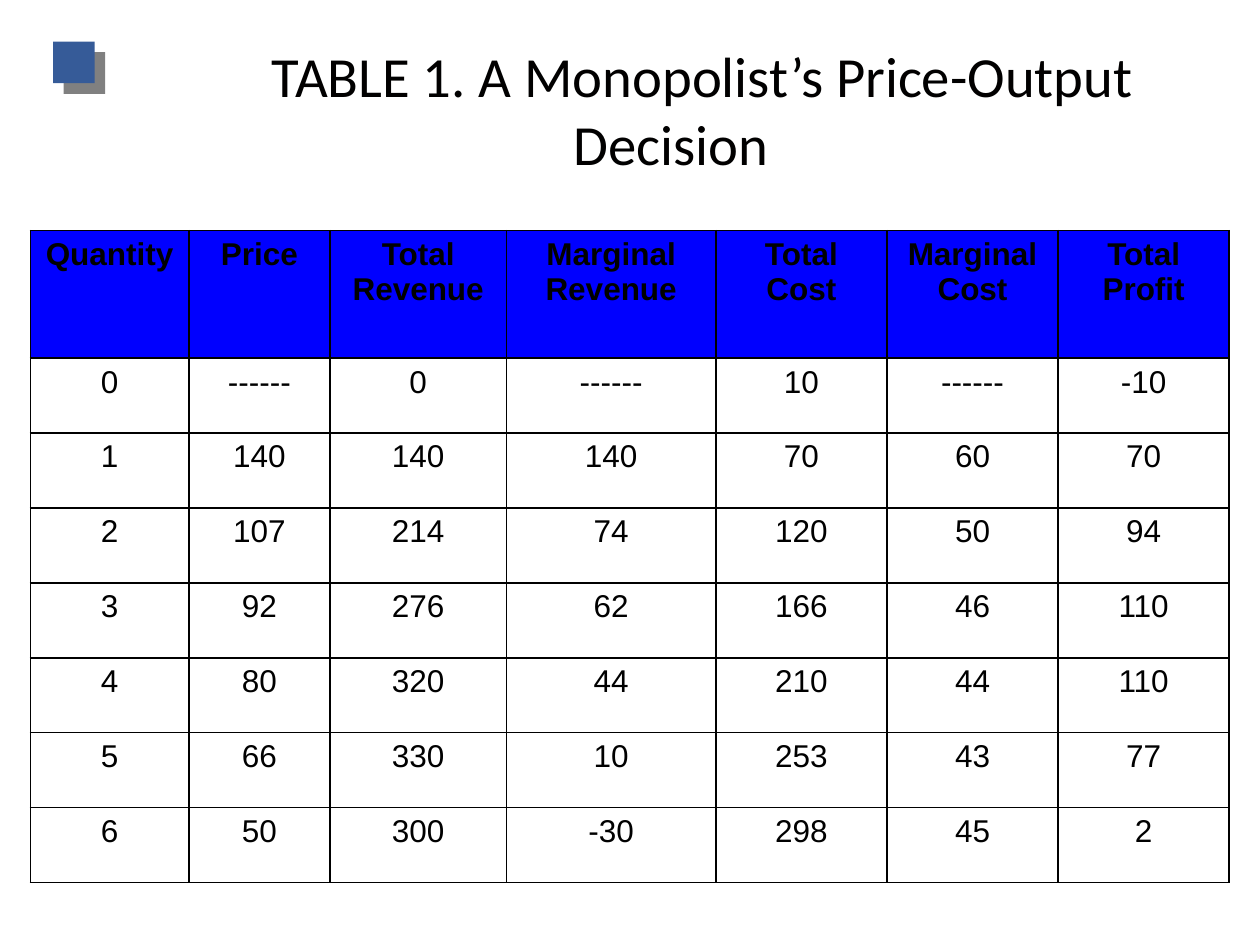
from lxml import etree
from pptx import Presentation
from pptx.dml.color import RGBColor
from pptx.enum.shapes import MSO_SHAPE
from pptx.enum.text import MSO_ANCHOR, PP_ALIGN
from pptx.oxml.ns import qn
from pptx.util import Cm, Pt

RECTANGLE = MSO_SHAPE.RECTANGLE
MIDDLE = MSO_ANCHOR.MIDDLE
CENTER = PP_ALIGN.CENTER

COLORS = {
    "title": "010000",
    "text": "000000",
    "border": "000000",
    "header": "0000FF",
    "marker": "365B98",
    "marker_shadow": "808080",
}

HEADERS = ["Quantity", "Price", "Total Revenue", "Marginal Revenue",
           "Total Cost", "Marginal Cost", "Total Profit"]
DECISIONS = [
    ["0", "------", "0", "------", "10", "------", "-10"],
    ["1", "140", "140", "140", "70", "60", "70"],
    ["2", "107", "214", "74", "120", "50", "94"],
    ["3", "92", "276", "62", "166", "46", "110"],
    ["4", "80", "320", "44", "210", "44", "110"],
    ["5", "66", "330", "10", "253", "43", "77"],
    ["6", "50", "300", "-30", "298", "45", "2"],
]
COLUMN_WIDTHS = [3.2, 2.84, 3.56, 4.22, 3.45, 3.45, 3.45]
HEADER_HEIGHT = 2.57
ROW_HEIGHT = 1.51


def style_paragraph(paragraph, font_name, size, color, bold=False):
    paragraph.alignment = CENTER
    paragraph.font.name = font_name
    paragraph.font.size = Pt(size)
    paragraph.font.bold = bold
    paragraph.font.color.rgb = RGBColor.from_string(COLORS[color])


def add_solid_fill(parent, color):
    solid = etree.SubElement(parent, qn("a:solidFill"))
    etree.SubElement(solid, qn("a:srgbClr"), val=COLORS[color])


prs = Presentation()
prs.slide_width = Cm(25.4)
prs.slide_height = Cm(19.05)
slide = prs.slides.add_slide(prs.slide_layouts[6])

# Title, with its first line indented
title = slide.shapes.add_textbox(Cm(2.26), Cm(0.61), Cm(22.53), Cm(3.18))
title_frame = title.text_frame
title_frame.word_wrap = True
title_frame.vertical_anchor = MIDDLE
title_line = title_frame.paragraphs[0]
title_line.text = "TABLE 1. A Monopolist’s Price-Output Decision"
style_paragraph(title_line, "Calibri", 32.4, "title")
title_line._p.get_or_add_pPr().set("indent", str(Cm(1.27)))

# Square marker with a hard shadow to the lower right
marker = slide.shapes.add_shape(RECTANGLE, Cm(1.07), Cm(0.84), Cm(0.84), Cm(0.84))
marker.fill.solid()
marker.fill.fore_color.rgb = RGBColor.from_string(COLORS["marker"])
marker.line.fill.background()
marker.shadow.inherit = False
effects = marker._element.spPr.find(qn("a:effectLst"))
shadow = etree.SubElement(effects, qn("a:outerShdw"), blurRad="0", dist=str(Pt(8.5)),
                          dir=str(45 * 60000), algn="ctr", rotWithShape="0")
etree.SubElement(shadow, qn("a:srgbClr"), val=COLORS["marker_shadow"])

# Price-output table
rows = [HEADERS] + DECISIONS
table_height = HEADER_HEIGHT + ROW_HEIGHT * len(DECISIONS)
table = slide.shapes.add_table(len(rows), len(HEADERS), Cm(0.61), Cm(4.65),
                               Cm(sum(COLUMN_WIDTHS)), Cm(table_height)).table
table.horz_banding = False
for column, width in zip(table.columns, COLUMN_WIDTHS):
    column.width = Cm(width)

for row_index, values in enumerate(rows):
    is_header = row_index == 0
    table.rows[row_index].height = Cm(HEADER_HEIGHT if is_header else ROW_HEIGHT)
    for column_index, value in enumerate(values):
        cell = table.cell(row_index, column_index)
        cell.text = value
        style_paragraph(cell.text_frame.paragraphs[0], "Arial", 18, "text", is_header)
        cell_properties = cell._tc.get_or_add_tcPr()
        for side in ("a:lnL", "a:lnR", "a:lnT", "a:lnB"):
            border = etree.SubElement(cell_properties, qn(side), w=str(Pt(1)))
            add_solid_fill(border, "border")
        if is_header:
            cell.fill.solid()
            cell.fill.fore_color.rgb = RGBColor.from_string(COLORS["header"])
        else:
            cell.fill.background()

prs.save("out.pptx")
